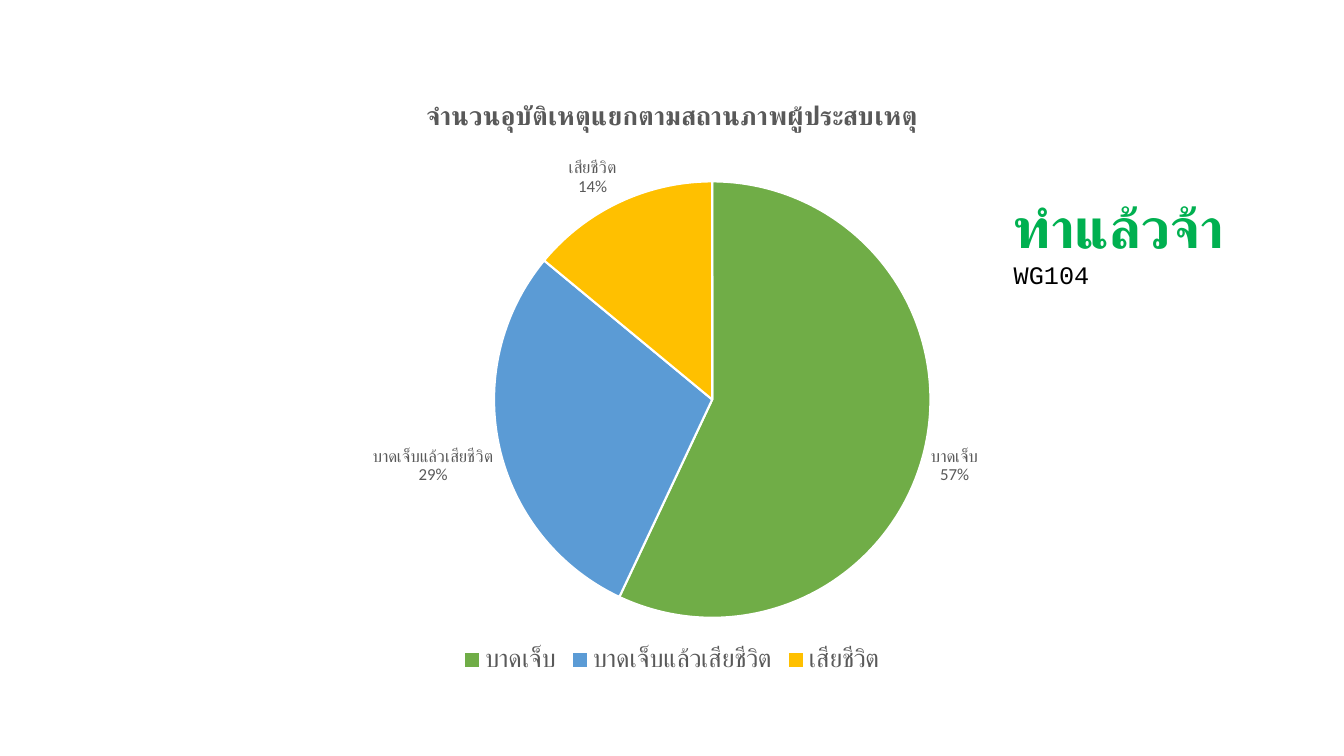
from dataclasses import dataclass

from lxml import etree
from pptx import Presentation
from pptx.chart.chart import Chart
from pptx.chart.data import CategoryChartData
from pptx.dml.color import RGBColor
from pptx.enum.chart import XL_CHART_TYPE, XL_LABEL_POSITION, XL_LEGEND_POSITION
from pptx.enum.text import MSO_AUTO_SIZE
from pptx.oxml.ns import qn
from pptx.slide import Slide
from pptx.text.text import Font, _Paragraph
from pptx.util import Pt

PIE = XL_CHART_TYPE.PIE
OUTER = XL_LABEL_POSITION.OUTSIDE_END
BOTTOM = XL_LEGEND_POSITION.BOTTOM
GROW = MSO_AUTO_SIZE.SHAPE_TO_FIT_TEXT

GREEN = RGBColor(0x70, 0xAD, 0x47)
BLUE = RGBColor(0x5B, 0x9B, 0xD5)
GOLD = RGBColor(0xFF, 0xC0, 0x00)
LIME = RGBColor(0x00, 0xB0, 0x50)
GREY = RGBColor(0x59, 0x59, 0x59)
BLACK = RGBColor(0, 0, 0)
WHITE = RGBColor(0xFF, 0xFF, 0xFF)
SANS = "Calibri"
MONO = "Courier New"


@dataclass(frozen=True)
class Slice:
    name: str
    value: int
    color: RGBColor


SLICES = (
    Slice("บาดเจ็บ", 57, GREEN),
    Slice("บาดเจ็บแล้วเสียชีวิต", 29, BLUE),
    Slice("เสียชีวิต", 14, GOLD),
)
FRAME = {"x": 0.3, "y": 0.17, "w": 0.49, "h": 0.73}


def style(font: Font, size: float, color: RGBColor = GREY,
          face: str = SANS, bold: bool = False) -> None:
    font.size = Pt(size)
    font.color.rgb = color
    font.name = face
    font.bold = bold


def write(para: _Paragraph, text: str, *, size: float, color: RGBColor = GREY,
          face: str = SANS, bold: bool = False) -> None:
    run = para.add_run()
    run.text = text
    style(run.font, size, color, face, bold)


def place(chart: Chart) -> None:
    area = chart.element.find(".//" + qn("c:plotArea"))
    for old in area.findall(qn("c:layout")):
        area.remove(old)
    layout = etree.Element(qn("c:layout"))
    manual = etree.SubElement(layout, qn("c:manualLayout"))
    modes = {"layoutTarget": "inner", "xMode": "edge", "yMode": "edge"}
    for tag, value in (modes | FRAME).items():
        etree.SubElement(manual, qn("c:" + tag)).set("val", str(value))
    area.insert(0, layout)


def draw_pie(slide: Slide) -> None:
    data = CategoryChartData()
    data.categories = [part.name for part in SLICES]
    data.add_series("Series 1", [part.value for part in SLICES])
    chart = slide.shapes.add_chart(
        PIE, Pt(160), Pt(57), Pt(640), Pt(427), data).chart
    style(chart.font, 10, BLACK)
    chart.has_title = True
    title = chart.chart_title
    title.include_in_layout = False
    write(title.text_frame.paragraphs[0],
          "จำนวนอุบัติเหตุแยกตามสถานภาพผู้ประสบเหตุ", size=18.6, bold=True)
    chart.has_legend = True
    chart.legend.position = BOTTOM
    chart.legend.include_in_layout = False
    style(chart.legend.font, 18)

    plot = chart.plots[0]
    plot.vary_by_categories = True
    series = plot.series[0]
    for index, part in enumerate(SLICES):
        shape = series.points[index].format
        shape.fill.solid()
        shape.fill.fore_color.rgb = part.color
        shape.line.color.rgb = WHITE
        shape.line.width = Pt(1.5)
    labels = series.data_labels
    style(labels.font, 12)
    labels.number_format = "0%"
    labels.number_format_is_linked = False
    labels.position = OUTER
    labels.show_value = False
    labels.show_category_name = True
    labels.show_percentage = True
    mark = etree.Element(qn("c:separator"))
    mark.text = "\n"
    labels._element.find(qn("c:showBubbleSize")).addnext(mark)
    place(chart)


def draw_note(slide: Slide) -> None:
    frame = slide.shapes.add_textbox(
        Pt(717), Pt(134), Pt(180), Pt(78)).text_frame
    frame.word_wrap = True
    frame.auto_size = GROW
    para = frame.paragraphs[0]
    write(para, "ทำแล้วจ้า ", size=40, color=LIME, bold=True)
    write(para, "WG104", size=18, color=BLACK, face=MONO)


def main() -> None:
    deck = Presentation()
    deck.slide_width = Pt(960)
    deck.slide_height = Pt(540)
    slide = deck.slides.add_slide(deck.slide_layouts[6])
    draw_pie(slide)
    draw_note(slide)
    deck.save("out.pptx")


if __name__ == "__main__":
    main()
